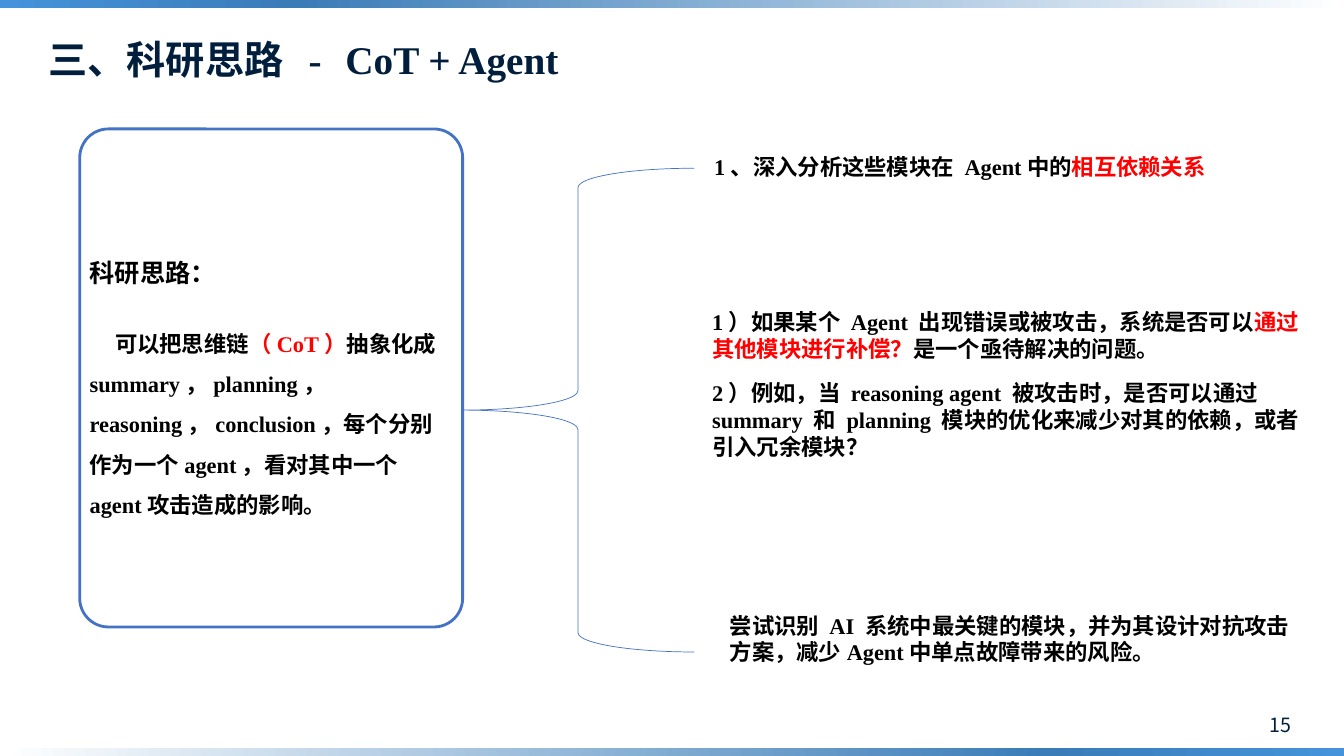
from copy import deepcopy
from dataclasses import dataclass

from pptx import Presentation
from pptx.dml.color import RGBColor
from pptx.enum.shapes import MSO_SHAPE
from pptx.enum.text import MSO_ANCHOR, MSO_AUTO_SIZE, PP_ALIGN
from pptx.oxml.ns import qn
from pptx.util import Cm, Pt

RECTANGLE, ROUNDED, BRACE = MSO_SHAPE.RECTANGLE, MSO_SHAPE.ROUNDED_RECTANGLE, MSO_SHAPE.LEFT_BRACE
LEFT, RIGHT = PP_ALIGN.LEFT, PP_ALIGN.RIGHT
TOP, MIDDLE, BOTTOM = MSO_ANCHOR.TOP, MSO_ANCHOR.MIDDLE, MSO_ANCHOR.BOTTOM
GROW, FIXED = MSO_AUTO_SIZE.SHAPE_TO_FIT_TEXT, MSO_AUTO_SIZE.NONE


@dataclass(frozen=True)
class Theme:
    navy: RGBColor = RGBColor(0x01, 0x1F, 0x3D)
    black: RGBColor = RGBColor(0, 0, 0)
    red: RGBColor = RGBColor(0xFF, 0, 0)
    outline: RGBColor = RGBColor(0x44, 0x72, 0xC4)
    band: tuple = (
        (0, RGBColor(0xFF, 0xFF, 0xFF)),
        (0.78, RGBColor(0x3A, 0x7C, 0xB8)),
        (1, RGBColor(0x45, 0x93, 0xDB)),
    )
    serif: str = "Times New Roman"
    sans: str = "Noto Sans CJK SC"
    title: int = 28
    heading: int = 18
    body: int = 16
    number: int = 14


class SlideBuilder:
    def __init__(self, slide, theme):
        self.slide = slide
        self.theme = theme

    def shape(self, kind, box, line_width=None, adjustment=None):
        shape = self.slide.shapes.add_shape(kind, *map(Cm, box))
        shape.shadow.inherit = False
        shape.fill.background()
        if line_width is None:
            shape.line.fill.background()
        else:
            shape.line.color.rgb = self.theme.outline
            shape.line.width = Pt(line_width)
        if adjustment is not None:
            shape.adjustments[0] = adjustment
        return shape

    def band(self, box, rotation):
        band = self.shape(RECTANGLE, box)
        band.rotation = rotation
        band.fill.gradient()
        band.fill.gradient_angle = 180
        stop_list = band.fill.gradient_stops[0]._gs.getparent()
        stop_list.insert(1, deepcopy(stop_list[0]))
        for stop, (position, color) in zip(band.fill.gradient_stops, self.theme.band):
            stop.position = position
            stop.color.rgb = color

    def run(self, paragraph, text, color, size, font, bold=True, spacing=None):
        run = paragraph.add_run()
        run.text = text
        run.font.color.rgb = color
        for key, value in {"size": Pt(size), "name": font, "bold": bold}.items():
            setattr(run.font, key, value)
        properties = run.font._element
        east_asian = properties.makeelement(qn("a:ea"), {"typeface": self.theme.sans})
        properties.find(qn("a:latin")).addnext(east_asian)
        if spacing:
            properties.set("spc", str(spacing))

    def fill_frame(self, frame, paragraphs, anchor=TOP, auto_size=GROW):
        for key, value in {"word_wrap": True, "vertical_anchor": anchor, "auto_size": auto_size}.items():
            setattr(frame, key, value)
        for index, (layout, indent, runs) in enumerate(paragraphs):
            paragraph = frame.add_paragraph() if index else frame.paragraphs[0]
            for key, value in layout.items():
                setattr(paragraph, key, value)
            if indent:
                paragraph._p.get_or_add_pPr().set("indent", str(Cm(indent)))
            for run in runs:
                self.run(paragraph, **run)

    def text(self, box, paragraphs, **frame_format):
        frame = self.slide.shapes.add_textbox(*map(Cm, box)).text_frame
        self.fill_frame(frame, paragraphs, **frame_format)

    def title(self, box, paragraphs):
        title = self.slide.shapes.title
        for key, value in zip(("left", "top", "width", "height"), box):
            setattr(title, key, Cm(value))
        self.fill_frame(title.text_frame, paragraphs, BOTTOM, FIXED)

    def styled(self, text, color=None, size=None, font=None, **extra):
        theme = self.theme
        return {
            "text": text,
            "color": color or theme.black,
            "size": size or theme.body,
            "font": font or theme.serif,
            **extra,
        }


def main():
    presentation = Presentation()
    presentation.slide_width, presentation.slide_height = Cm(33.87), Cm(19.05)
    theme = Theme()
    page = SlideBuilder(presentation.slides.add_slide(presentation.slide_layouts[5]), theme)
    styled = page.styled

    for band_top, rotation in ((0, 0), (18.85, 180)):
        page.band((0, band_top, 33.87, 0.2), rotation)

    title_style = {"color": theme.navy, "size": theme.title}
    page.title((0.97, 0.81, 18.82, 1.42), [
        ({"alignment": LEFT, "line_spacing": 0.9, "space_before": Pt(10)}, 0, [
            styled("三、科研思路", **title_style),
            styled(" - ", spacing=500, **title_style),
            styled("CoT + Agent", **title_style),
        ]),
    ])
    page.text((29.64, 17.75, 3.15, 1.02), [
        ({"alignment": RIGHT}, 0, [styled("15", theme.navy, theme.number, theme.sans, bold=False)]),
    ], anchor=MIDDLE, auto_size=FIXED)

    page.shape(ROUNDED, (2.01, 3.25, 9.65, 12.55), 2, 0.075)
    page.text((2.01, 6.35, 9.58, 8.13), [
        ({}, 0, [styled("科研思路：", size=theme.heading, font=theme.sans)]),
        ({"line_spacing": 1.5, "space_before": Pt(21)}, 0.64, [
            styled("可以把思维链"),
            styled("（CoT）", theme.red),
            styled("抽象化成summary，planning，reasoning，conclusion，"
                   "每个分别作为一个agent，看对其中一个agent攻击造成的影响。"),
        ]),
    ])
    page.shape(BRACE, (11.63, 4.24, 5.87, 12.19), 0.5)

    spaced = {"space_after": Pt(12)}
    page.text((17.75, 3.73, 15.8, 0.94), [
        ({}, 0, [styled("1、深入分析这些模块在 Agent中的"), styled("相互依赖关系", theme.red)]),
    ])
    page.text((17.7, 7.65, 15.8, 4.11), [
        (spaced, 0, [
            styled("1）如果某个 Agent 出现错误或被攻击，系统是否可以"),
            styled("通过其他模块进行补偿？", theme.red),
            styled("是一个亟待解决的问题。"),
        ]),
        (spaced, 0, [
            styled("2）例如，当 reasoning agent 被攻击时，是否可以通过 summary 和 planning "
                   "模块的优化来减少对其的依赖，或者引入冗余模块？"),
        ]),
    ])
    page.text((18.14, 15.29, 14.63, 1.63), [
        (spaced, 0, [
            styled("尝试识别 AI 系统中最关键的模块，并为其设计对抗攻击方案，"
                   "减少Agent中单点故障带来的风险。"),
        ]),
    ])
    presentation.save("out.pptx")


if __name__ == "__main__":
    main()
